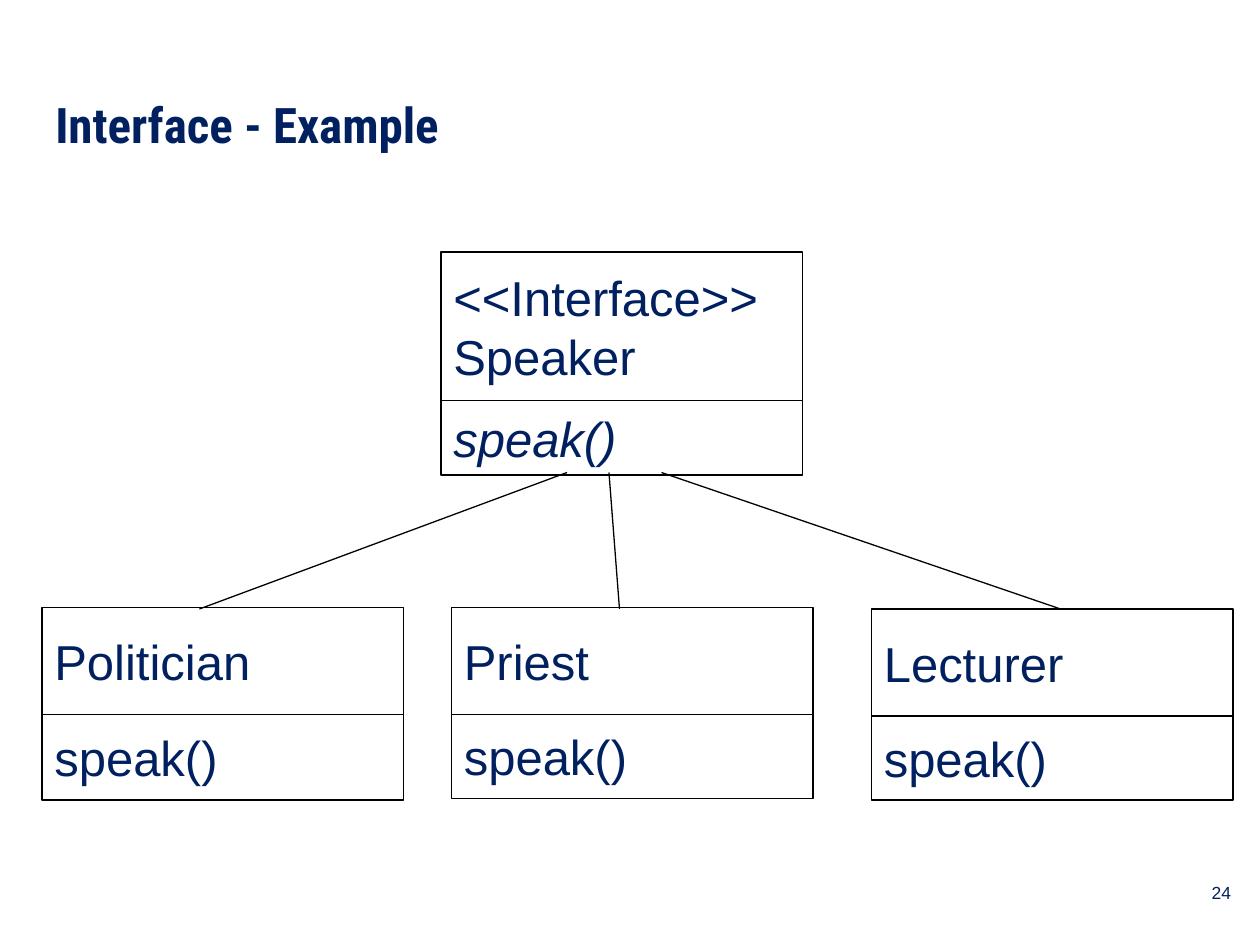
import pptx
import pptx.dml.color
import pptx.enum.shapes
import pptx.enum.text
import pptx.oxml
import pptx.util

Pt = pptx.util.Pt
ALIGN = pptx.enum.text.PP_ALIGN
ANCHOR = pptx.enum.text.MSO_ANCHOR


def color(value):
    return pptx.dml.color.RGBColor.from_string(value)


class ClassDiagram:
    """Draws a titled class diagram on one slide, with lengths in points."""

    ink = "002060"
    line = "000000"
    paper = "FFFFFF"
    body_font = "Arial"
    title_font = "Roboto Condensed"
    text_size = 28
    box_width = 206.64

    def __init__(self, slide):
        self.slide = slide

    def add_text(self, shape, lines, anchor, align=ALIGN.LEFT, size=text_size,
                 font=body_font, bold=False, italic=False):
        frame = shape.text_frame
        frame.word_wrap = True
        frame.vertical_anchor = anchor
        for index, text in enumerate(lines):
            paragraph = frame.add_paragraph() if index else frame.paragraphs[0]
            paragraph.alignment = align
            run = paragraph.add_run()
            run.text = text
            run.font.name = font
            run.font.size = Pt(size)
            run.font.bold = bold
            run.font.italic = italic
            run.font.color.rgb = color(self.ink)

    def label(self, text, left, top, width, height, anchor, **style):
        shape = self.slide.shapes.add_textbox(Pt(left), Pt(top), Pt(width), Pt(height))
        frame = shape.text_frame
        frame.margin_left = frame.margin_right = Pt(7.2)
        frame.margin_top = frame.margin_bottom = Pt(7.2)
        self.add_text(shape, [text], anchor, **style)

    def compartment(self, lines, left, top, height, italic=False):
        shape = self.slide.shapes.add_shape(
            pptx.enum.shapes.MSO_SHAPE.RECTANGLE,
            Pt(left), Pt(top), Pt(self.box_width), Pt(height))
        shape.shadow.inherit = False
        shape.fill.solid()
        shape.fill.fore_color.rgb = color(self.paper)
        shape.line.color.rgb = color(self.line)
        shape.line.width = Pt(0.75)
        self.add_text(shape, lines, ANCHOR.MIDDLE, italic=italic)

    def class_box(self, name_lines, left, top, name_height, method_height, italic=False):
        self.compartment(name_lines, left, top, name_height)
        self.compartment(["speak()"], left, top + name_height, method_height, italic)

    def link(self, start, end):
        connector = self.slide.shapes.add_connector(
            pptx.enum.shapes.MSO_CONNECTOR.STRAIGHT,
            Pt(start[0]), Pt(start[1]), Pt(end[0]), Pt(end[1]))
        connector.line.color.rgb = color(self.line)
        connector.line.width = Pt(0.75)
        properties = connector._element.spPr
        properties.append(pptx.oxml.parse_xml(
            '<a:effectLst xmlns:a="http://schemas.openxmlformats.org/drawingml/2006/main"/>'))


def main():
    presentation = pptx.Presentation()
    presentation.slide_width = Pt(720)
    presentation.slide_height = Pt(540)
    slide = presentation.slides.add_slide(presentation.slide_layouts[6])
    diagram = ClassDiagram(slide)

    diagram.label("Interface - Example", 24.5, 46.8, 671, 59.8, ANCHOR.TOP,
                  font=diagram.title_font, bold=True)
    diagram.label("24", 667.4, 489.6, 43.2, 41, ANCHOR.MIDDLE,
                  align=ALIGN.RIGHT, size=10)

    diagram.class_box(["<<Interface>>", "Speaker"], 252, 144, 85, 42.5, italic=True)
    for name, left, top, method_height in (("Politician", 24, 347, 49),
                                           ("Priest", 258, 347, 48),
                                           ("Lecturer", 498, 348, 48)):
        diagram.class_box([name], left, top, 61.2, method_height)

    for speaker_x, child_x in ((324, 114), (348, 354), (378, 606)):
        diagram.link((speaker_x, 270), (child_x, 348))

    presentation.save("out.pptx")


if __name__ == "__main__":
    main()
